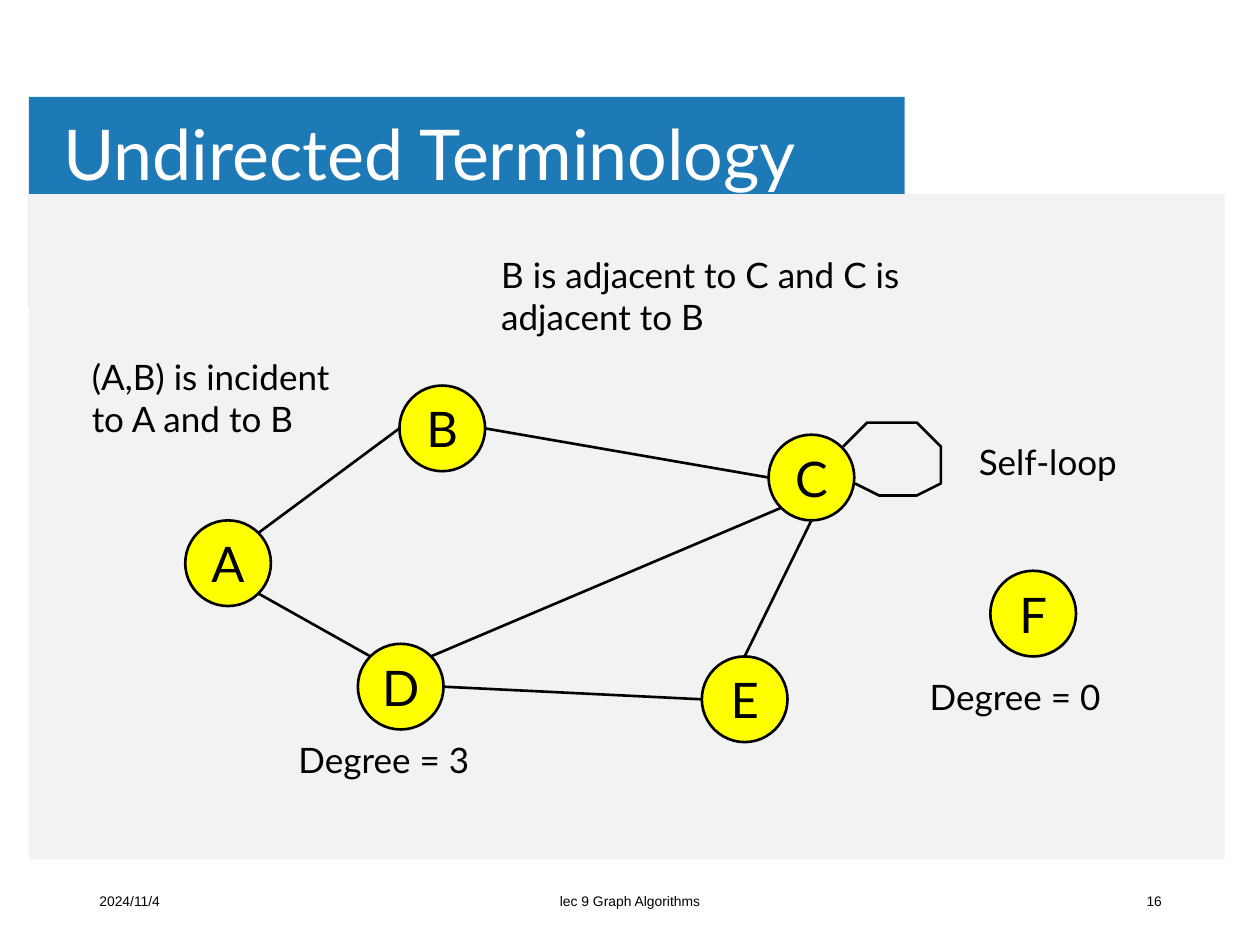
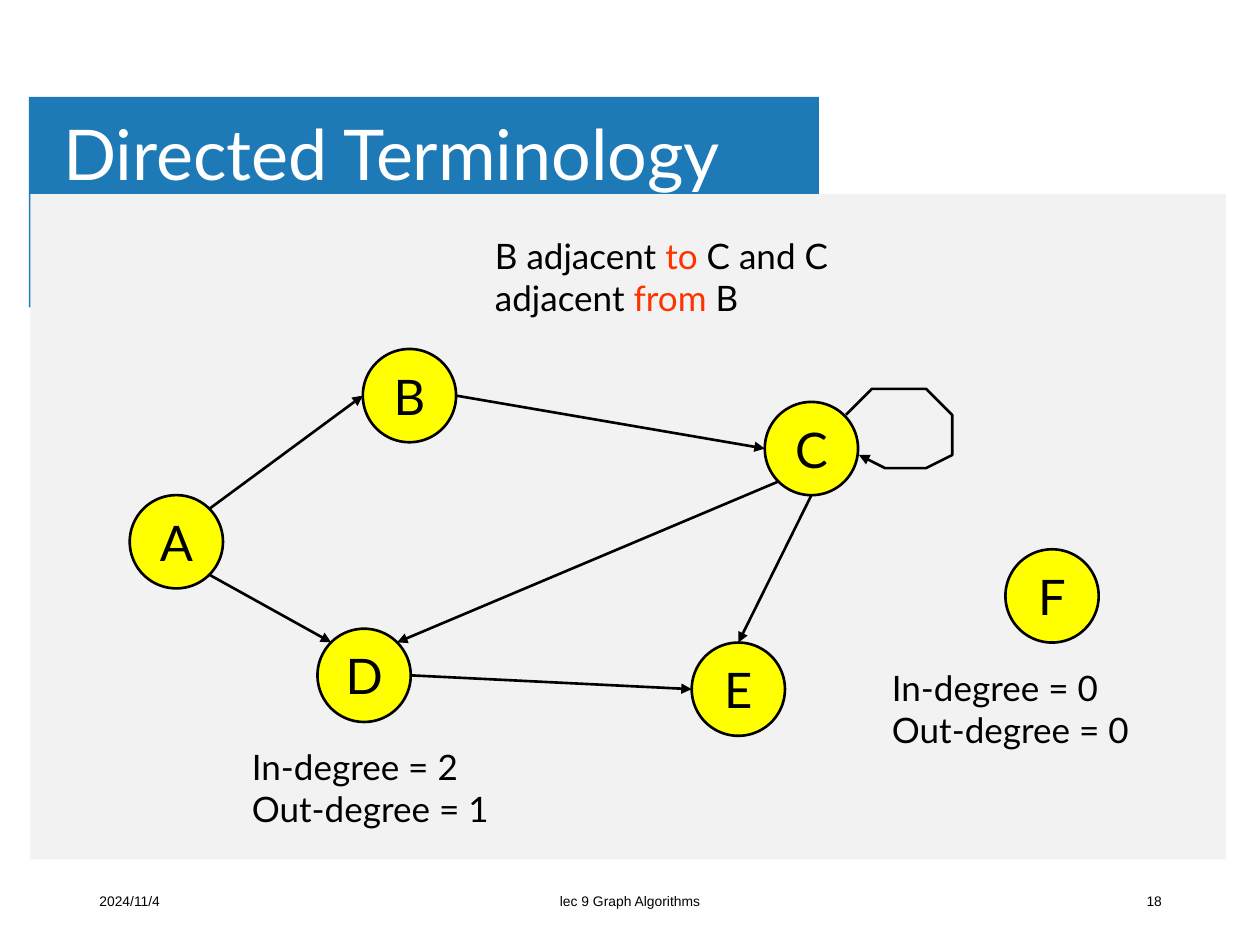
"""Build two slides that explain graph terms on an undirected and a directed graph."""
from dataclasses import dataclass
from math import cos, radians, sin

from lxml.etree import SubElement
from pptx import Presentation
from pptx.dml.color import RGBColor
from pptx.enum.shapes import MSO_CONNECTOR as CONN, MSO_SHAPE as SHAPE
from pptx.enum.text import MSO_ANCHOR as ANCHOR, MSO_AUTO_SIZE as FIT, PP_ALIGN as ALIGN
from pptx.oxml.ns import qn
from pptx.util import Inches, Pt


@dataclass(frozen=True)
class Theme:
    band: str = "1E7AB6"
    panel: str = "F2F2F2"
    node: str = "FFFF00"
    ink: str = "000000"
    title_ink: str = "FFFFFF"
    accent: str = "FF3300"
    body_font: str = "Lato"
    footer_font: str = "Arial"
    title_size: float = 40
    node_size: float = 28
    label_size: float = 20
    footer_size: float = 7.9
    line_width: float = 1.5


TITLE_ONLY = 5
RIGHT, LOWER_RIGHT, BOTTOM, LOWER_LEFT = 0, 45, 90, 135
LEFT, UPPER_LEFT, TOP, UPPER_RIGHT = 180, 225, 270, 315
EDGES = [
    ("C", BOTTOM, "E", TOP),
    ("D", RIGHT, "E", LEFT),
    ("A", LOWER_RIGHT, "D", UPPER_LEFT),
    ("C", LOWER_LEFT, "D", UPPER_RIGHT),
    ("B", RIGHT, "C", LEFT),
    ("A", UPPER_RIGHT, "B", LEFT),
]
LOOP = [(0.87, 0.14), (1.15, -0.14), (1.73, -0.14), (2.01, 0.14),
        (2.01, 0.57), (1.73, 0.71), (1.29, 0.71), (1.01, 0.57)]


def write(tf, text, font, size, color, accent=None, align=ALIGN.LEFT,
          anchor=ANCHOR.TOP, wrap=True, spacing=None):
    """Fill a frame: newline = paragraph, \\v = line break, *word* = accent."""
    tf.word_wrap, tf.vertical_anchor = wrap, anchor
    for i, line in enumerate(text.split("\n")):
        p = tf.add_paragraph() if i else tf.paragraphs[0]
        p.alignment = align
        if spacing:
            p.line_spacing = spacing
        for j, piece in enumerate(line.split("*")):
            for k, part in enumerate(piece.split("\v")):
                if k:
                    p.add_line_break()
                r = p.add_run()
                r.text = part
                r.font.name, r.font.size = font, Pt(size)
                r.font.color.rgb = RGBColor.from_string(accent if j % 2 else color)


class Deck:
    """Holds the theme and the current slide."""

    def __init__(self, theme):
        self.t = theme
        self.prs = Presentation()
        self.prs.slide_width, self.prs.slide_height = Inches(10), Inches(7.5)
        self.s = None

    def slide(self, title, number, band_width, panel_left):
        """Start a slide with its band, panel, title and footer."""
        t = self.t
        self.s = self.prs.slides.add_slide(self.prs.slide_layouts[TITLE_ONLY])
        self.rect(0.23, 0.77, band_width, 1.67, t.band)
        self.rect(panel_left, 1.54, 9.49, 5.28, t.panel)
        self.title(title)
        self.footer(0.69, 2.25, "2024/11/4", ALIGN.LEFT)
        self.footer(3.31, 3.38, "lec 9 Graph Algorithms", ALIGN.CENTER)
        self.footer(7.07, 2.25, number, ALIGN.RIGHT)

    def title(self, text):
        """Place the title placeholder in front of the band."""
        t, sp = self.t, self.s.shapes.title
        sp.element.getparent().append(sp.element)
        sp.left, sp.top, sp.width, sp.height = map(Inches, (0.43, 0.76, 8.03, 0.98))
        tf = sp.text_frame
        tf.auto_size = FIT.NONE
        tf.margin_left = tf.margin_right = Inches(0.07)
        tf.margin_top = tf.margin_bottom = Inches(0.04)
        write(tf, text, t.body_font, t.title_size, t.title_ink,
              anchor=ANCHOR.MIDDLE, spacing=0.9)

    def shape(self, kind, x, y, w, h, fill):
        """Add a flat filled shape without a line."""
        sp = self.s.shapes.add_shape(kind, *map(Inches, (x, y, w, h)))
        sp.shadow.inherit = False
        sp.fill.solid()
        sp.fill.fore_color.rgb = RGBColor.from_string(fill)
        sp.line.fill.background()
        return sp

    def rect(self, x, y, w, h, fill):
        """Add a plain rectangle."""
        self.shape(SHAPE.RECTANGLE, x, y, w, h, fill)

    def textbox(self, x, y, w, h):
        """Add an empty text box and return its frame."""
        return self.s.shapes.add_textbox(*map(Inches, (x, y, w, h))).text_frame

    def footer(self, x, w, text, align):
        """Add one part of the footer."""
        t = self.t
        write(self.textbox(x, 6.95, w, 0.4), text, t.footer_font, t.footer_size,
              t.ink, align=align, anchor=ANCHOR.MIDDLE)

    def label(self, x, y, w, text, lines=1):
        """Add a note next to the graph."""
        t = self.t
        tf = self.textbox(x, y, w, 0.11 + 0.33 * lines)
        write(tf, text, t.body_font, t.label_size, t.ink, accent=t.accent)
        tf.auto_size = FIT.SHAPE_TO_FIT_TEXT

    def stroke(self, sp, arrow=False):
        """Draw the outline, with an arrowhead at its end if asked."""
        sp.line.width = Pt(self.t.line_width)
        sp.line.color.rgb = RGBColor.from_string(self.t.ink)
        if arrow:
            ln = sp.element.spPr.find(qn("a:ln"))
            SubElement(ln, qn("a:tailEnd"), type="triangle")

    def node(self, name, x, y, d):
        """Add a named vertex."""
        t = self.t
        sp = self.shape(SHAPE.OVAL, x, y, d, d, t.node)
        self.stroke(sp)
        write(sp.text_frame, name, t.body_font, t.node_size, t.ink,
              align=ALIGN.CENTER, anchor=ANCHOR.MIDDLE, wrap=False)

    def edge(self, start, end, arrow):
        """Add a straight edge between two points."""
        ends = map(Inches, (*start, *end))
        cx = self.s.shapes.add_connector(CONN.STRAIGHT, *ends)
        self.stroke(cx, arrow)
        SubElement(cx.element.spPr, qn("a:effectLst"))

    def loop(self, x, y, d, arrow):
        """Add the open outline from a vertex back to itself."""
        start, *rest = [(Inches(x + d * u), Inches(y + d * v)) for u, v in LOOP]
        fb = self.s.shapes.build_freeform(*start)
        fb.add_line_segments(rest, close=False)
        sp = fb.convert_to_shape()
        sp.shadow.inherit = False
        sp.fill.background()
        self.stroke(sp, arrow)

    def graph(self, nodes, d, directed):
        """Add all vertices, the edges between them and the self-loop at C."""
        def rim(name, angle):
            x, y = nodes[name]
            a = radians(angle)
            return x + d / 2 * (1 + cos(a)), y + d / 2 * (1 + sin(a))

        for name, (x, y) in nodes.items():
            self.node(name, x, y, d)
        for tail, tail_angle, head, head_angle in EDGES:
            self.edge(rim(tail, tail_angle), rim(head, head_angle), directed)
        self.loop(*nodes["C"], d, directed)


def main():
    """Build both slides and save them."""
    deck = Deck(Theme())

    deck.slide("Undirected Terminology", "16", band_width=6.95, panel_left=0.23)
    deck.graph({"A": (1.47, 4.13), "B": (3.17, 3.06), "C": (6.1, 3.45),
                "E": (5.57, 5.21), "D": (2.84, 5.11), "F": (7.86, 4.53)},
               d=0.68, directed=False)
    deck.label(2.27, 5.81, 1.96, "Degree = 3")
    deck.label(7.28, 5.31, 1.99, "Degree = 0")
    deck.label(3.88, 1.96, 3.6, "B is adjacent to C and C is adjacent to B", lines=2)
    deck.label(0.63, 2.77, 2.79, "(A,B) is incident\vto A and to B", lines=2)
    deck.label(7.67, 3.45, 1.66, "Self-loop")

    deck.slide("Directed Terminology", "18", band_width=6.27, panel_left=0.24)
    deck.graph({"A": (1.03, 3.93), "B": (2.88, 2.77), "C": (6.07, 3.19),
                "E": (5.49, 5.1), "D": (2.52, 4.99), "F": (7.98, 4.36)},
               d=0.74, directed=True)
    deck.label(1.9, 5.87, 2.79, "In-degree = 2\nOut-degree = 1", lines=2)
    deck.label(6.98, 5.24, 2.85, "In-degree = 0\nOut-degree = 0", lines=2)
    deck.label(3.83, 1.81, 3.73, "B adjacent *to* C and C adjacent *from* B", lines=2)

    deck.prs.save("out.pptx")


if __name__ == "__main__":
    main()
